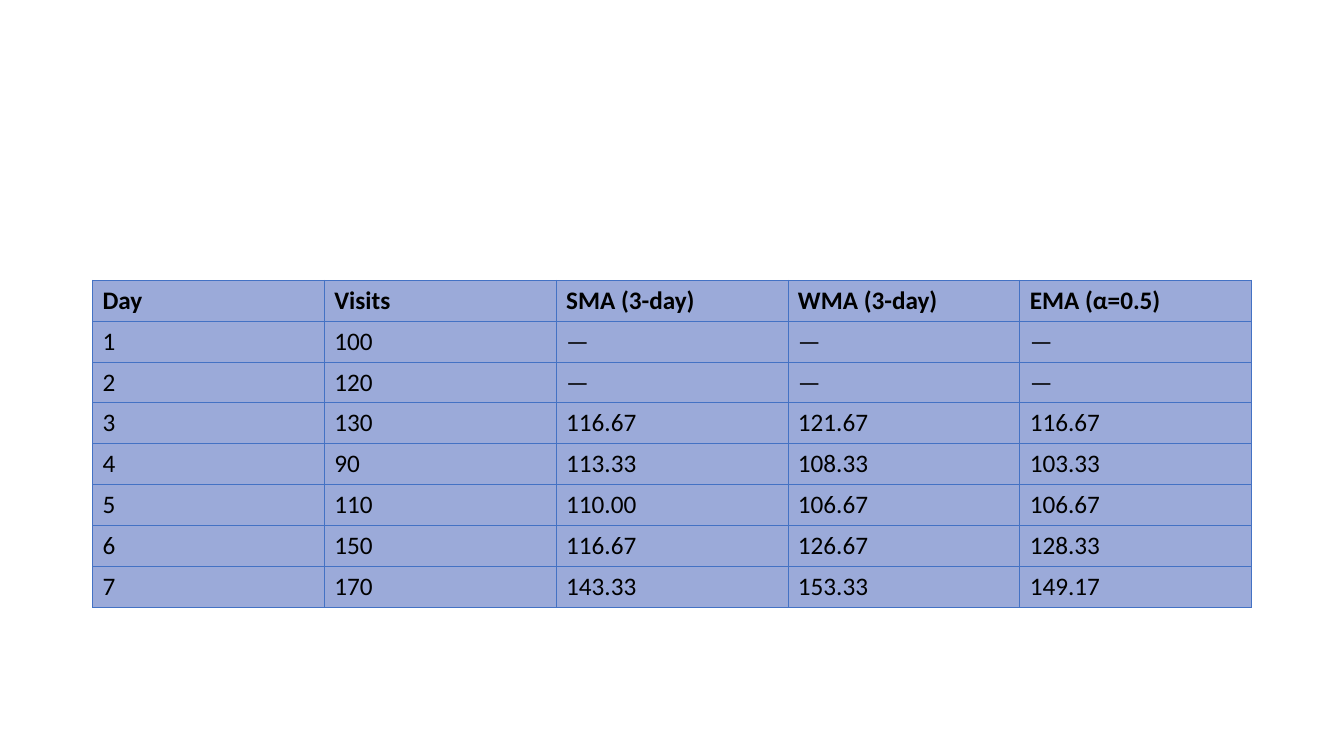
from lxml import etree
from pptx import Presentation
from pptx.dml.color import RGBColor
from pptx.enum import text
from pptx.oxml import ns
from pptx.util import Cm, Pt

CELL_FILL = RGBColor(0x9B, 0xAA, 0xD9)
BORDER = RGBColor(0x44, 0x72, 0xC4)
TEXT_COLOR = RGBColor(0, 0, 0)
FONT = "Calibri"

HEADINGS = ["Day", "Visits", "SMA (3-day)", "WMA (3-day)", "EMA (α=0.5)"]
AVERAGES = [
    ["1", "100", "—", "—", "—"],
    ["2", "120", "—", "—", "—"],
    ["3", "130", "116.67", "121.67", "116.67"],
    ["4", "90", "113.33", "108.33", "103.33"],
    ["5", "110", "110.00", "106.67", "106.67"],
    ["6", "150", "116.67", "126.67", "128.33"],
    ["7", "170", "143.33", "153.33", "149.17"],
]


def set_borders(cell, color, width):
    """Draw a line on all four sides; borders precede the fill in the XML."""
    properties = cell._tc.get_or_add_tcPr()
    for index, side in enumerate(["lnL", "lnR", "lnT", "lnB"]):
        line = etree.Element(ns.qn(f"a:{side}"), w=str(width))
        fill = etree.SubElement(line, ns.qn("a:solidFill"))
        etree.SubElement(fill, ns.qn("a:srgbClr"), val=str(color))
        properties.insert(index, line)


def format_cell(cell, content, bold):
    cell.fill.solid()
    cell.fill.fore_color.rgb = CELL_FILL
    set_borders(cell, BORDER, Pt(0.5))
    cell.vertical_anchor = text.MSO_ANCHOR.MIDDLE
    cell.text_frame.text = content
    font = cell.text_frame.paragraphs[0].runs[0].font
    font.name = FONT
    font.size = Pt(18)
    font.bold = bold
    font.color.rgb = TEXT_COLOR


def add_averages_table(slide, left, top, width, height):
    rows = [HEADINGS] + AVERAGES
    frame = slide.shapes.add_table(
        len(rows), len(HEADINGS), left, top, width, height)
    table = frame.table
    table.horz_banding = False
    for row_index, row in enumerate(rows):
        for column_index, content in enumerate(row):
            format_cell(table.cell(row_index, column_index), content,
                        bold=row_index == 0)


def main():
    presentation = Presentation()
    presentation.slide_width = Cm(33.87)
    presentation.slide_height = Cm(19.05)
    slide = presentation.slides.add_slide(presentation.slide_layouts[6])

    # Moving averages of daily visits
    add_averages_table(slide, Cm(2.33), Cm(7.06), Cm(29.21), Cm(8.24))

    presentation.save("out.pptx")


if __name__ == "__main__":
    main()
